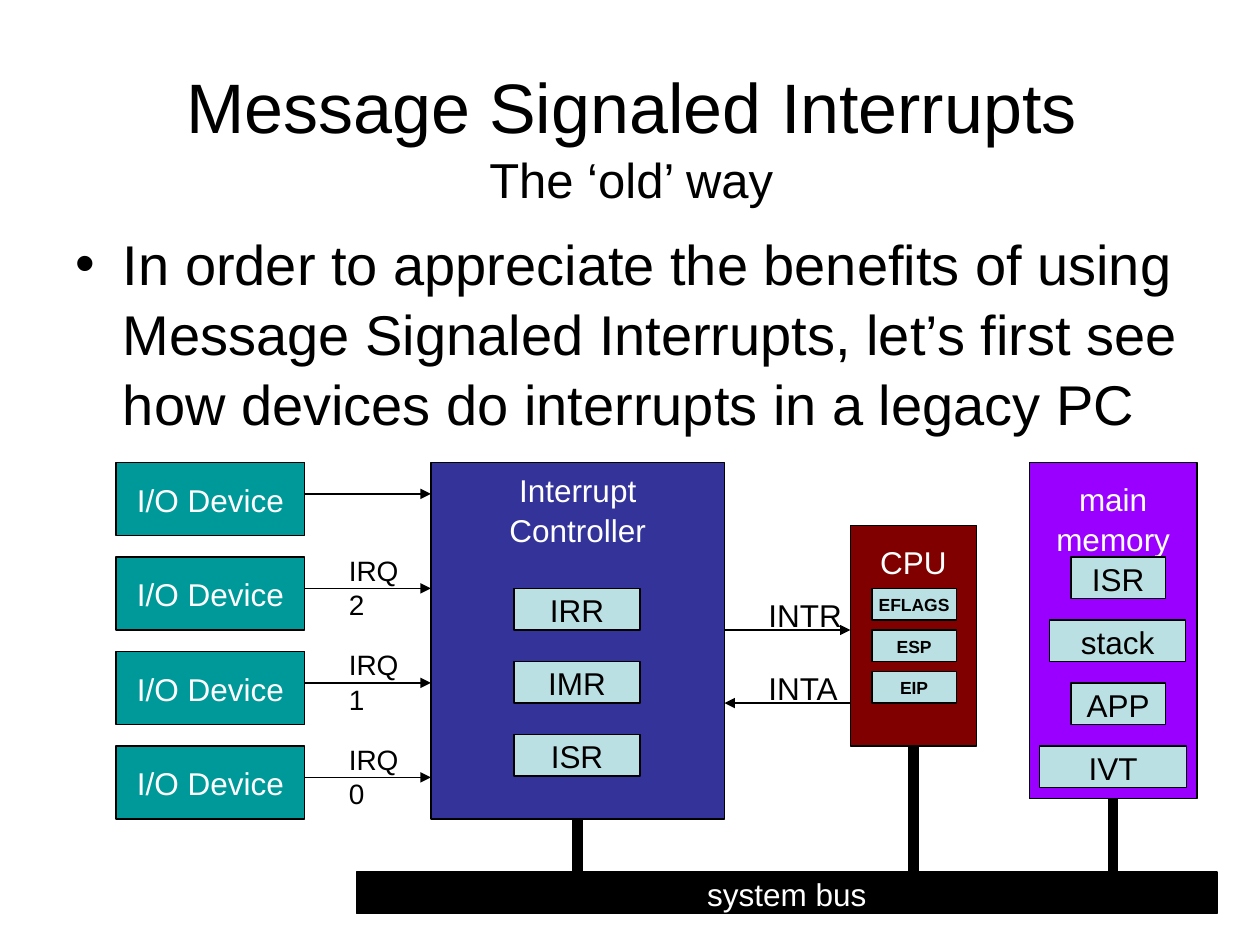
import pptx
import pptx.dml.color
import pptx.enum.shapes
import pptx.enum.text
import pptx.oxml.xmlchemy
import pptx.util

Inches = pptx.util.Inches
Pt = pptx.util.Pt
ALIGN = pptx.enum.text.PP_ALIGN
ANCHOR = pptx.enum.text.MSO_ANCHOR

COLORS = {
    "black": "000000",
    "white": "FFFFFF",
    "device": "009999",
    "controller": "333399",
    "register": "BBE0E3",
    "cpu": "800000",
    "memory": "9900FF",
}


class Diagram:
    font = "Arial"
    line_width = 0.75
    bus_width = 6
    line_spacing = 1.04

    def __init__(self, slide):
        self.slide = slide

    def color(self, name):
        return pptx.dml.color.RGBColor.from_string(COLORS[name])

    def style(self, para, size, color="black", align=ALIGN.LEFT, bold=False):
        para.alignment = align
        para.line_spacing = self.line_spacing
        para.font.name = self.font
        para.font.size = Pt(size)
        para.font.bold = bold
        para.font.color.rgb = self.color(color)

    def placeholder(self, index, left, top, width, height):
        holder = self.slide.placeholders[index]
        holder.left, holder.top = Inches(left), Inches(top)
        holder.width, holder.height = Inches(width), Inches(height)
        holder.text_frame.auto_size = pptx.enum.text.MSO_AUTO_SIZE.NONE
        return holder.text_frame

    def title(self, heading, subtitle):
        frame = self.placeholder(0, 0.51, 0.44, 9, 1.25)
        frame.vertical_anchor = ANCHOR.MIDDLE
        para = frame.paragraphs[0]
        self.style(para, 40, align=ALIGN.CENTER)
        para.add_run().text = heading
        para.add_line_break()
        span = para.add_run()
        span.text = subtitle
        span.font.size = Pt(28)

    def body(self, text):
        frame = self.placeholder(1, 0.5, 1.75, 9, 4.95)
        frame.text = text
        self.style(frame.paragraphs[0], 32)
        frame.paragraphs[0].space_before = Pt(0)

    def box(self, text, left, top, width, height, fill, color="white",
            size=18, bold=False, top_inset=None):
        box = self.slide.shapes.add_shape(
            pptx.enum.shapes.MSO_SHAPE.RECTANGLE,
            Inches(left), Inches(top), Inches(width), Inches(height))
        box.shadow.inherit = False
        box.fill.solid()
        box.fill.fore_color.rgb = self.color(fill)
        box.line.color.rgb = self.color("black")
        box.line.width = Pt(self.line_width)
        frame = box.text_frame
        frame.word_wrap = False
        frame.vertical_anchor = ANCHOR.MIDDLE
        if top_inset is not None:
            frame.vertical_anchor = ANCHOR.TOP
            frame.margin_top = Inches(top_inset)
        frame.text = text
        for para in frame.paragraphs:
            self.style(para, size, color, ALIGN.CENTER, bold)
        return box

    def register(self, text, left, top, width, height=0.33, size=18, bold=False):
        return self.box(text, left, top, width, height, "register", "black", size, bold)

    def label(self, text, left, top, width, height, size):
        box = self.slide.shapes.add_textbox(
            Inches(left), Inches(top), Inches(width), Inches(height))
        box.text_frame.word_wrap = False
        box.text_frame.text = text
        self.style(box.text_frame.paragraphs[0], size)

    def line(self, start_x, start_y, end_x, end_y, width):
        line = self.slide.shapes.add_connector(
            pptx.enum.shapes.MSO_CONNECTOR.STRAIGHT,
            Inches(start_x), Inches(start_y), Inches(end_x), Inches(end_y))
        line.line.color.rgb = self.color("black")
        line.line.width = Pt(width)
        properties = line._element.spPr
        properties.append(pptx.oxml.xmlchemy.OxmlElement("a:effectLst"))
        return line

    def arrow(self, start_x, end_x, y):
        arrow = self.line(start_x, y, end_x, y, self.line_width)
        head = pptx.oxml.xmlchemy.OxmlElement("a:tailEnd")
        head.set("type", "triangle")
        arrow.line._get_or_add_ln().append(head)

    def bus_link(self, box, bus_top):
        center = (box.left + box.width / 2) / Inches(1)
        bottom = (box.top + box.height) / Inches(1)
        link = self.line(center, bottom, center, bus_top, self.bus_width)
        link.begin_connect(box, 2)


def main():
    deck = pptx.Presentation()
    deck.slide_width, deck.slide_height = Inches(10), Inches(7.5)
    page = Diagram(deck.slides.add_slide(deck.slide_layouts[1]))

    page.title("Message Signaled Interrupts", "The ‘old’ way")
    page.body("In order to appreciate the benefits of using Message Signaled "
              "Interrupts, let’s first see how devices do interrupts in a legacy PC")

    controller = page.box("Interrupt\nController", 3.42, 3.67, 2.33, 2.83,
                          "controller", top_inset=0.06)
    for row, request in enumerate([None, "IRQ2", "IRQ1", "IRQ0"]):
        top = 3.67 + 0.75 * row
        page.box("I/O Device", 0.92, top, 1.5, 0.58, "device")
        page.arrow(2.42, 3.42, top + 0.25)
        if request:
            page.label(request, 2.67, top - 0.09, 0.71, 0.37, 16)
    for row, name in enumerate(["IRR", "IMR", "ISR"]):
        page.register(name, 4.08, 4.67 + 0.58 * row, 1)

    cpu = page.box("CPU", 6.75, 4.17, 1, 1.75, "cpu", top_inset=0.13)
    for row, name in enumerate(["EFLAGS", "ESP", "EIP"]):
        page.register(name, 6.92, 4.67 + 0.33 * row, 0.67, 0.25, 10, True)
    page.arrow(5.75, 6.75, 5)
    page.label("INTR", 6, 4.67, 0.78, 0.4, 18)
    page.arrow(6.75, 5.75, 5.58)
    page.label("INTA", 6, 5.25, 0.77, 0.4, 18)

    memory = page.box("main\nmemory", 8.17, 3.67, 1.33, 2.67, "memory", top_inset=0.13)
    regions = [("ISR", 8.5, 0.75), ("stack", 8.33, 1.08),
               ("APP", 8.5, 0.75), ("IVT", 8.25, 1.17)]
    for row, (name, left, width) in enumerate(regions):
        page.register(name, left, 4.42 + 0.5 * row, width)

    bus_top = 6.92
    page.box("system bus", 2.83, bus_top, 6.83, 0.33, "black")
    for box in (controller, cpu, memory):
        page.bus_link(box, bus_top)

    deck.save("out.pptx")


if __name__ == "__main__":
    main()
